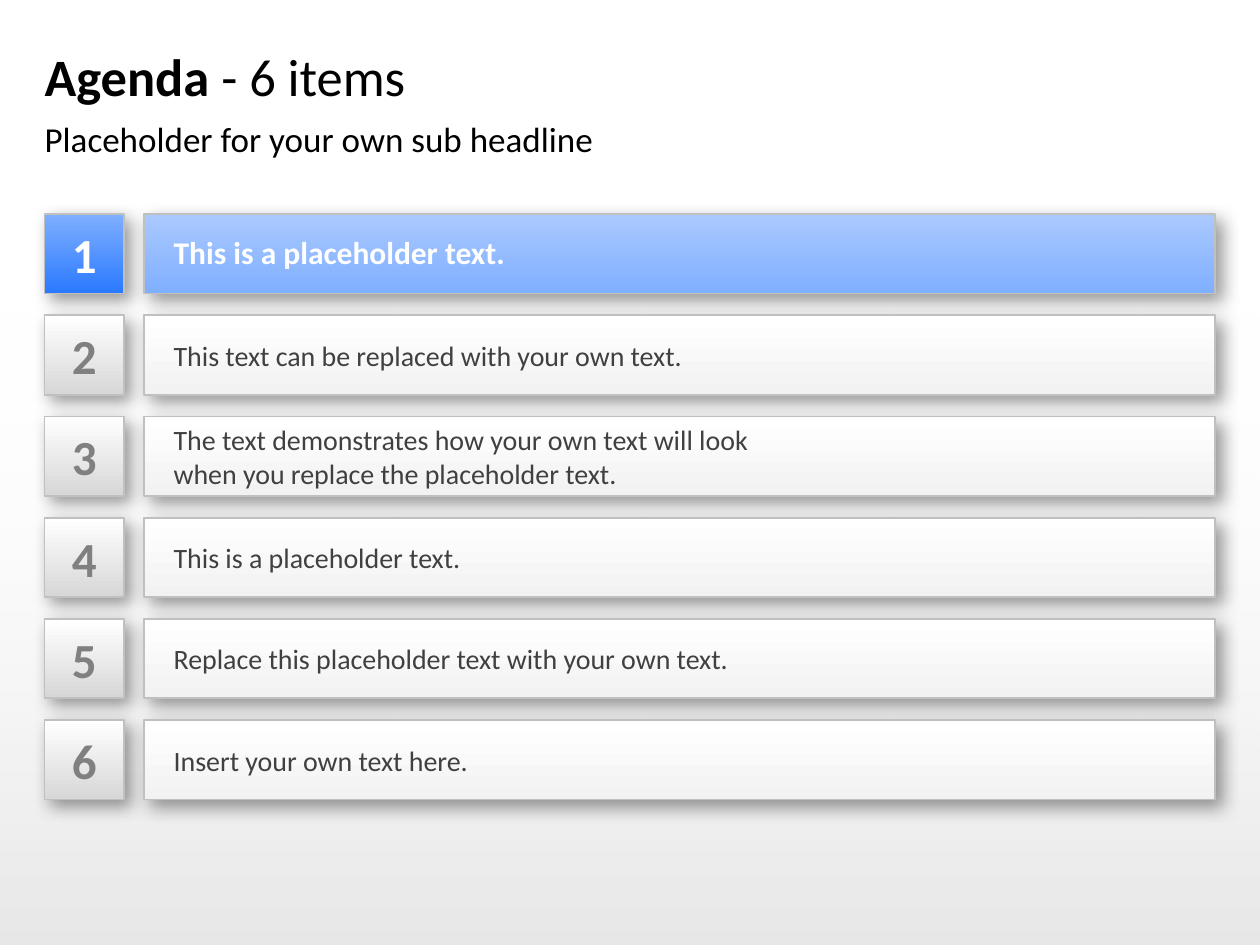
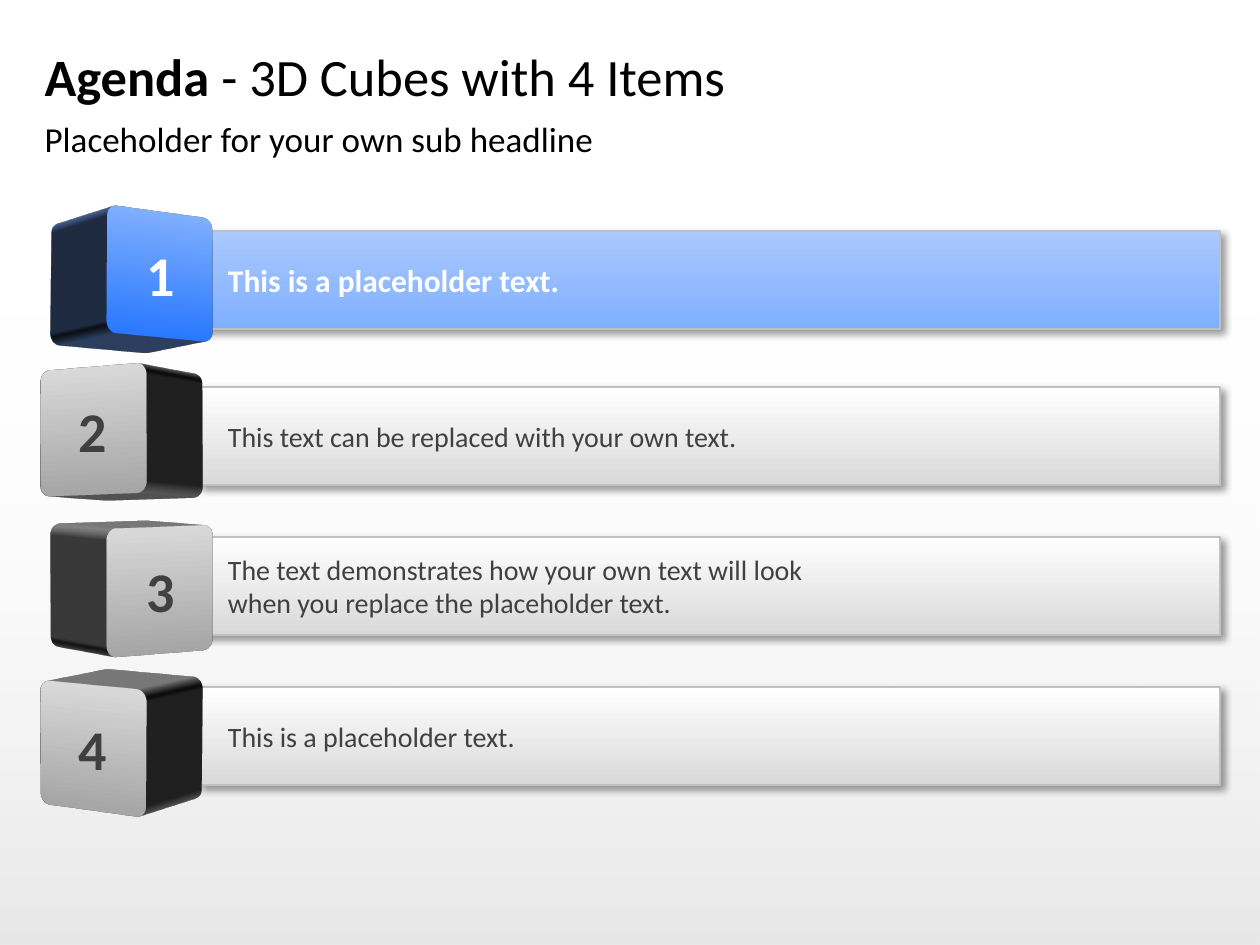
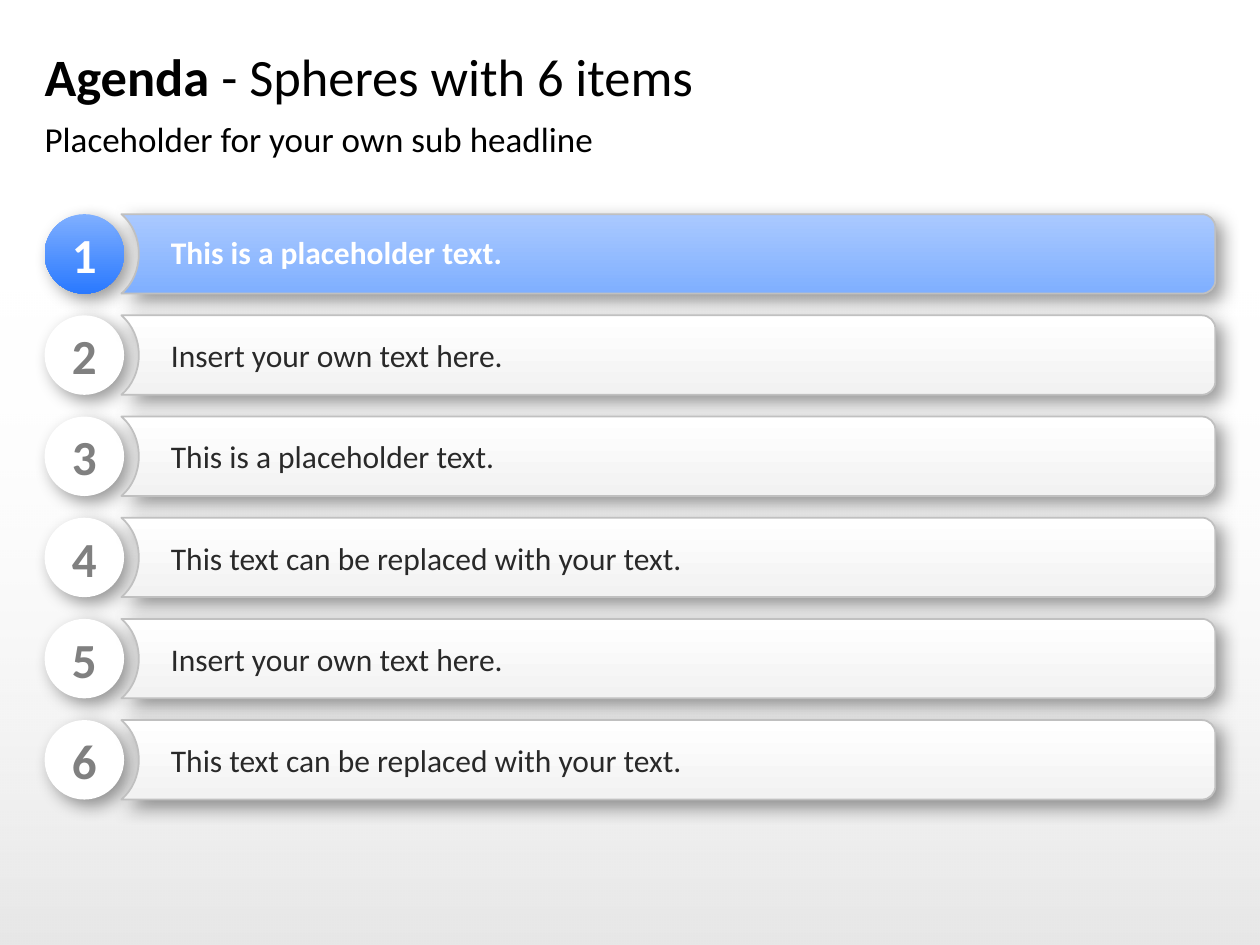
from dataclasses import dataclass

from lxml import etree
from pptx import Presentation
from pptx.dml.color import RGBColor
from pptx.enum.shapes import MSO_SHAPE
from pptx.enum.text import MSO_ANCHOR, MSO_AUTO_SIZE, PP_ALIGN
from pptx.oxml.ns import qn
from pptx.util import Pt

RECT, OVAL, ROUNDED = MSO_SHAPE.RECTANGLE, MSO_SHAPE.OVAL, MSO_SHAPE.ROUNDED_RECTANGLE
LEFT, CENTER = PP_ALIGN.LEFT, PP_ALIGN.CENTER
TOP, MIDDLE = MSO_ANCHOR.TOP, MSO_ANCHOR.MIDDLE
NO_AUTOFIT = MSO_AUTO_SIZE.NONE

FONT = "Calibri"
BLACK, WHITE = "000000", "FFFFFF"
EDGE, DIM, DARK, INK = "C0C0C0", "808080", "404040", "292929"
BLUE = ("7FAFFF", "2A79FF")
PALE_BLUE = ("AAC9FF", "7FAFFF")
SILVER = (WHITE, "D7D7D7")
PEARL = (WHITE, "F2F2F2")
MIST = (WHITE, "D9D9D9")
STEEL = ("D9D9D9", "A6A6A6")
BLUE_DEPTH, STEEL_DEPTH = "5B7FBF", "A6A6A6"

MARGIN, CONTENT_WIDTH = 25.5, 669
ROW_TOP, ROW_PITCH, ROW_HEIGHT = 122.4, 57.82, 45.4
CUBE_SIZE, CUBE_DEPTH = 72.7, 61
CUBE_LEFT, CUBE_RIGHT = 16.6, 55.4
TURN_LEFT, TURN_RIGHT = 34, 326
DEEP_SHADOW, SHALLOW_SHADOW = (10, 5), (4, 3)

SUBTITLE = "Placeholder for your own sub headline"
PLACEHOLDER = "This is a placeholder text."
INSERT = "Insert your own text here."
REPLACE = "This text can be replaced with your own text."
REPLACE_SHORT = "This text can be replaced with your text."
DEMO = "The text demonstrates how your own text will look \vwhen you replace the placeholder text."

SQUARE_ITEMS = [PLACEHOLDER, REPLACE, DEMO, PLACEHOLDER,
                "Replace this placeholder text with your own text.", INSERT]
SPHERE_ITEMS = [PLACEHOLDER, INSERT, PLACEHOLDER, REPLACE_SHORT, INSERT, REPLACE_SHORT]


@dataclass
class Cube:
    text: str
    bar_top: float
    left: float
    top: float
    tilt: int
    turn: int


CUBES = [
    Cube(PLACEHOLDER, 131.8, CUBE_RIGHT, 120.4, 350, TURN_RIGHT),
    Cube(REPLACE, 221, CUBE_LEFT, 209.5, 355, TURN_LEFT),
    Cube(DEMO, 306.7, CUBE_RIGHT, 301, 5, TURN_RIGHT),
    Cube(PLACEHOLDER, 392.4, CUBE_LEFT, 391, 10, TURN_LEFT),
]


def color(hex_code):
    return RGBColor.from_string(hex_code)


def paint(shape, fill, line=None, shadow=None):
    if isinstance(fill, tuple):
        shape.fill.gradient()
        shape.fill.gradient_angle = 270
        for stop, hex_code in zip(shape.fill.gradient_stops, fill):
            stop.color.rgb = color(hex_code)
    else:
        shape.fill.solid()
        shape.fill.fore_color.rgb = color(fill)
    if line:
        shape.line.color.rgb = color(line)
        shape.line.width = Pt(1)
    else:
        shape.line.fill.background()
    shape.shadow.inherit = False
    if shadow:
        cast_shadow(shape, *shadow)


def cast_shadow(shape, blur, distance):
    effects = shape.element.spPr.find(qn("a:effectLst"))
    outer = etree.SubElement(effects, qn("a:outerShdw"), blurRad=str(Pt(blur)),
                             dist=str(Pt(distance)), dir="2700000", algn="tl", rotWithShape="0")
    tint = etree.SubElement(outer, qn("a:srgbClr"), val=BLACK)
    etree.SubElement(tint, qn("a:alpha"), val="40000")


def extrude(shape, tilt, turn, depth_color):
    properties = shape.element.spPr
    scene = etree.SubElement(properties, qn("a:scene3d"))
    camera = etree.SubElement(scene, qn("a:camera"), prst="perspectiveFront", fov="2700000")
    etree.SubElement(camera, qn("a:rot"), lat=str(tilt * 60000), lon=str(turn * 60000), rev="0")
    etree.SubElement(scene, qn("a:lightRig"), rig="threePt", dir="t")
    solid = etree.SubElement(properties, qn("a:sp3d"), extrusionH=str(Pt(CUBE_DEPTH)))
    tint = etree.SubElement(solid, qn("a:extrusionClr"))
    etree.SubElement(tint, qn("a:srgbClr"), val=depth_color)


def set_frame(frame, anchor, inset=0):
    frame.margin_left = Pt(inset)
    frame.margin_right = frame.margin_top = frame.margin_bottom = Pt(0)
    frame.vertical_anchor = anchor
    frame.word_wrap = True
    frame.auto_size = NO_AUTOFIT


def style(paragraph, size, hex_code, bold=None, align=LEFT):
    paragraph.alignment = align
    paragraph.font.name = FONT
    paragraph.font.size = Pt(size)
    paragraph.font.color.rgb = color(hex_code)
    paragraph.font.bold = bold


def write(shape, text, size, hex_code, bold=False, align=LEFT, inset=0):
    set_frame(shape.text_frame, MIDDLE, inset)
    paragraph = shape.text_frame.paragraphs[0]
    paragraph.text = text
    style(paragraph, size, hex_code, bold, align)
    return paragraph


def add_block(shapes, preset, left, top, width, height, fill, line=None, shadow=None):
    block = shapes.add_shape(preset, Pt(left), Pt(top), Pt(width), Pt(height))
    paint(block, fill, line, shadow)
    return block


def add_notched_bar(shapes, left, top, right, bottom, fill, depth=10, radius=7.6):
    middle, inner, pull = (top + bottom) / 2, right - radius, radius * 0.45
    tip = left + depth
    segments = [
        [(inner, top)],
        [(right - pull, top), (right, top + pull), (right, top + radius)],
        [(right, bottom - radius)],
        [(right, bottom - pull), (right - pull, bottom), (inner, bottom)],
        [(left, bottom)],
        [(left + 6.4, bottom - 5.5), (tip, middle + 9), (tip, middle)],
        [(tip, middle - 9), (left + 6.4, top + 5.5), (left, top)],
    ]
    builder = shapes.build_freeform(Pt(left), Pt(top))
    builder.add_line_segments([(Pt(x), Pt(y)) for x, y in (s[-1] for s in segments)], close=True)
    bar = builder.convert_to_shape()
    for edge, segment in zip(list(bar.element.iter(qn("a:lnTo"))), segments):
        if len(segment) == 3:
            edge.tag = qn("a:cubicBezTo")
            for position, (x, y) in enumerate(segment[:2]):
                control = etree.Element(qn("a:pt"), x=str(Pt(x - left)), y=str(Pt(y - top)))
                edge.insert(position, control)
    paint(bar, fill, EDGE, DEEP_SHADOW)
    return bar


def add_backdrop(prs, slide):
    backdrop = add_block(slide.shapes, RECT, 0, 159, 720, 381, (WHITE, BLACK))
    for tint, alpha in zip(backdrop.element.spPr.iter(qn("a:srgbClr")), ("0", "10000")):
        etree.SubElement(tint, qn("a:alpha"), val=alpha)
    prs.slide_master.shapes.element.insert(2, backdrop.element)


def place(placeholder, top, height, anchor):
    placeholder.left, placeholder.top = Pt(MARGIN), Pt(top)
    placeholder.width, placeholder.height = Pt(CONTENT_WIDTH), Pt(height)
    set_frame(placeholder.text_frame, anchor)
    return placeholder.text_frame.paragraphs[0]


def add_agenda_slide(prs, topic):
    slide = prs.slides.add_slide(prs.slide_layouts[1])
    title = place(slide.shapes.title, 19.1, 48.2, MIDDLE)
    for text, bold in (("Agenda ", True), (f"- {topic}", False)):
        run = title.add_run()
        run.text = text
        run.font.bold = bold
    style(title, 30, BLACK)

    subtitle = place(slide.placeholders[1], 67.2, 26.6, TOP)
    subtitle.text = SUBTITLE
    properties = subtitle._p.get_or_add_pPr()
    properties.set("marL", "0")
    properties.set("indent", "0")
    etree.SubElement(properties, qn("a:buNone"))
    subtitle.space_before = Pt(0)
    style(subtitle, 20, BLACK, False)
    return slide


def add_number(shapes, preset, number, top, fill, line):
    badge = add_block(shapes, preset, MARGIN, top, ROW_HEIGHT, ROW_HEIGHT, fill, line, DEEP_SHADOW)
    write(badge, str(number), 28, WHITE if number == 1 else DIM, True, CENTER)


def write_item(bar, text, active, size, hex_code, inset):
    if active:
        return write(bar, text, 18, WHITE, True, inset=inset)
    return write(bar, text, size, hex_code, inset=inset)


def add_square_row(shapes, number, text):
    active, top = number == 1, ROW_TOP + (number - 1) * ROW_PITCH
    add_number(shapes, RECT, number, top, BLUE if active else SILVER, EDGE)
    bar = add_block(shapes, RECT, 82.2, top, 612.2, ROW_HEIGHT,
                    PALE_BLUE if active else PEARL, EDGE, DEEP_SHADOW)
    item = write_item(bar, text, active, 16, DARK, 17)
    if active:
        item.line_spacing = 0.9


def add_sphere_row(shapes, number, text):
    active, top = number == 1, ROW_TOP + (number - 1) * ROW_PITCH
    add_number(shapes, OVAL, number, top, BLUE if active else WHITE, None)
    bar = add_notched_bar(shapes, 69.4, top, 694.5, top + ROW_HEIGHT,
                          PALE_BLUE if active else PEARL)
    item = write_item(bar, text, active, 18, INK, 28.3)
    if active:
        item.line_spacing = 0.9


def add_cube_row(shapes, number, cube):
    active = number == 1
    bar = add_block(shapes, RECT, 113.3, cube.bar_top, 584, 56.2,
                    PALE_BLUE if active else MIST, EDGE, SHALLOW_SHADOW)
    write_item(bar, cube.text, active, 16, DARK, 17)
    face = add_block(shapes, ROUNDED, cube.left, cube.top, CUBE_SIZE, CUBE_SIZE,
                     BLUE if active else STEEL)
    face.adjustments[0] = 0.09
    extrude(face, cube.tilt, cube.turn, BLUE_DEPTH if active else STEEL_DEPTH)
    write(face, str(number), 32, WHITE if active else DARK, True, CENTER)


def add_rows(slide, add_row, items):
    for number, item in enumerate(items, 1):
        add_row(slide.shapes.add_group_shape().shapes, number, item)


def main():
    prs = Presentation()
    prs.slide_width, prs.slide_height = Pt(720), Pt(540)
    squares = add_agenda_slide(prs, "6 items")
    add_backdrop(prs, squares)
    add_rows(squares, add_square_row, SQUARE_ITEMS)
    add_rows(add_agenda_slide(prs, "3D Cubes with 4 Items"), add_cube_row, CUBES)
    add_rows(add_agenda_slide(prs, "Spheres with 6 items"), add_sphere_row, SPHERE_ITEMS)
    prs.save("out.pptx")


if __name__ == "__main__":
    main()
